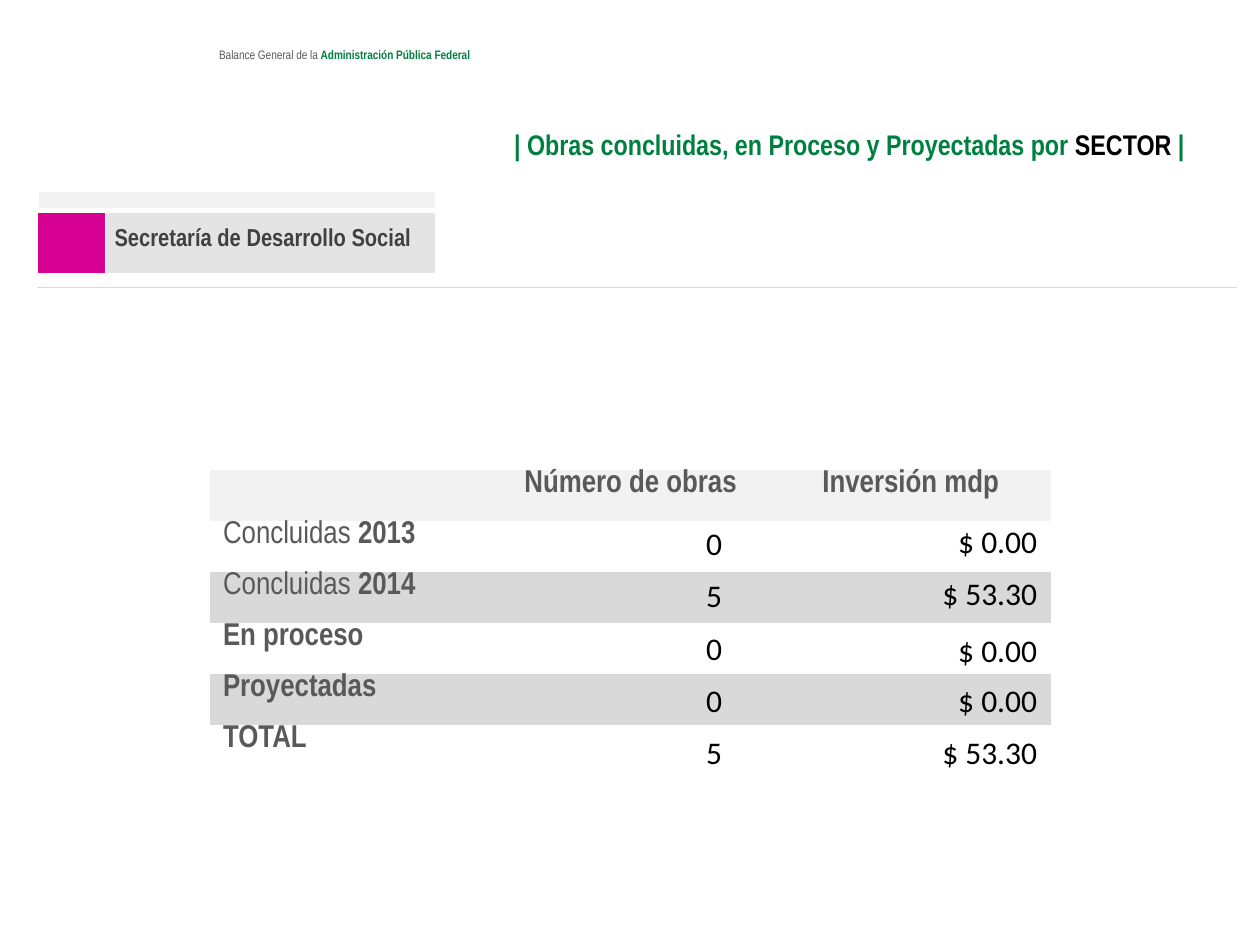
from typing import NamedTuple

from lxml import etree
from pptx import Presentation
from pptx.dml.color import RGBColor
from pptx.enum.text import MSO_ANCHOR, MSO_AUTO_SIZE, PP_ALIGN
from pptx.oxml.ns import qn
from pptx.util import Inches, Pt

LEFT, MID, RIGHT = PP_ALIGN.LEFT, PP_ALIGN.CENTER, PP_ALIGN.RIGHT
TOP, CENTER = MSO_ANCHOR.TOP, MSO_ANCHOR.MIDDLE
NONE, GROW = MSO_AUTO_SIZE.NONE, MSO_AUTO_SIZE.SHAPE_TO_FIT_TEXT
NARROW, ROUND = "Arial Narrow", "Calibri"
GREEN, GRAY, DARK, BLACK = "008040", "595959", "404040", "000000"
PALE, BAND, WHITE, PINK, SILVER = "F2F2F2", "D9D9D9", "FFFFFF", "D60093", "E4E4E4"


class Run(NamedTuple):
    text: str
    size: float
    color: str
    bold: bool = False
    font: str = NARROW


class Row(NamedTuple):
    label: list[Run]
    count: str
    cost: str
    count_top: float
    cost_top: float


def rgb(code: str) -> RGBColor:
    return RGBColor.from_string(code)


def write(para, runs: list[Run], align=LEFT, space=None) -> None:
    para.alignment = align
    if space:
        para.line_spacing = space
    for item in runs:
        run = para.add_run()
        run.text = item.text
        font = run.font
        font.size, font.bold, font.name = Pt(item.size), item.bold, item.font
        font.color.rgb = rgb(item.color)


def add_text(slide, box: tuple, runs: list[Run], align=LEFT, space=None) -> None:
    frame = slide.shapes.add_textbox(*map(Inches, box)).text_frame
    frame.word_wrap = True
    frame.auto_size = GROW
    write(frame.paragraphs[0], runs, align, space)


def add_grid(slide, left: float, top: float, cols: list, rows: list):
    size = map(Inches, (left, top, sum(cols), sum(rows)))
    table = slide.shapes.add_table(len(rows), len(cols), *size).table
    table.first_row = table.horz_banding = False
    for col, width in zip(table.columns, cols):
        col.width = Inches(width)
    for row, height in zip(table.rows, rows):
        row.height = Inches(height)
    return table


def style(cell, fill: str = "", edges: dict | None = None, side: float = 0.1) -> None:
    """Set margins, borders (side: colour, points) and fill of a cell."""
    cell.margin_left = cell.margin_right = Inches(side)
    cell.margin_top = cell.margin_bottom = 0
    props = cell._tc.get_or_add_tcPr()
    for edge in "LRTB":
        line = etree.SubElement(props, qn("a:ln" + edge))
        if edges and edge in edges:
            color, width = edges[edge]
            line.set("w", str(Pt(width)))
            solid = etree.SubElement(line, qn("a:solidFill"))
            etree.SubElement(solid, qn("a:srgbClr"), val=color)
        else:
            etree.SubElement(line, qn("a:noFill"))
    if fill:
        cell.fill.solid()
        cell.fill.fore_color.rgb = rgb(fill)
    else:
        cell.fill.background()


def shrink(cell) -> None:
    """Keep an empty cell from stretching its row."""
    para = cell.text_frame.paragraphs[0]._p
    etree.SubElement(para, qn("a:endParaRPr"), sz="100")


def add_banner(slide) -> None:
    grid = add_grid(slide, 0.3, 1.52, [0.54, 2.62, 6.35], [0.15, 0.5, 0.11, 5])
    frame = {"L": (WHITE, 1), "T": (WHITE, 1), "R": (WHITE, 1)}
    strip = {**frame, "B": (WHITE, 3)}
    inner = {"L": (WHITE, 0.5), "T": (WHITE, 1), "R": (WHITE, 0.5), "B": (WHITE, 1)}
    rule = {**frame, "B": (BAND, 0.25)}
    foot = {"T": (BAND, 0.25)}
    looks = [
        [(PALE, strip), (PALE, strip), ("", strip)],
        [(PINK, inner), (SILVER, inner), ("", inner)],
        [(WHITE, rule)] * 3,
        [("", foot)] * 3,
    ]
    for r, line in enumerate(looks):
        for c, (fill, edges) in enumerate(line):
            cell = grid.cell(r, c)
            style(cell, fill, edges, 0.07)
            if (r, c) != (1, 1):
                shrink(cell)
    for r, last in ((0, 1), (2, 1), (3, 2)):
        grid.cell(r, 0).merge(grid.cell(r, last))
    name = grid.cell(1, 1)
    name.vertical_anchor = CENTER
    runs = [Run("Secretaría de Desarrollo Social", 14, DARK, True)]
    write(name.text_frame.paragraphs[0], runs, LEFT, Pt(11))


def label(text: str, year: str = "") -> list[Run]:
    if year:
        return [Run(text + " ", 18, GRAY), Run(year, 18, GRAY, True)]
    return [Run(text, 18, GRAY, True)]


WORKS = [
    Row(label("Concluidas", "2013"), "0", "$ 0.00", 4.11, 4.09),
    Row(label("Concluidas", "2014"), "5", "$ 53.30", 4.52, 4.51),
    Row(label("En proceso"), "0", "$ 0.00", 4.94, 4.96),
    Row(label("Proyectadas"), "0", "$ 0.00", 5.36, 5.36),
    Row(label("TOTAL"), "5", "$ 53.30", 5.77, 5.77),
]


def add_works(slide) -> None:
    grid = add_grid(slide, 1.67, 3.73, [6.67 / 3] * 3, [2.43 / 6] * 6)
    heads = [[], label("Número de obras"), label("Inversión mdp")]
    for c, runs in enumerate(heads):
        style(grid.cell(0, c), PALE)
        write(grid.cell(0, c).text_frame.paragraphs[0], runs, MID)
    for r, work in enumerate(WORKS, 1):
        for c in range(3):
            style(grid.cell(r, c), "" if r % 2 else BAND)
        write(grid.cell(r, 0).text_frame.paragraphs[0], work.label)
    # Figures over the grid
    for work in WORKS:
        for text, left, top, width in (
            (work.count, 4.16, work.count_top, 1.67),
            (work.cost, 6.57, work.cost_top, 1.76),
        ):
            run = Run(text, 18, BLACK, font=ROUND)
            add_text(slide, (left, top, width, 0.4), [run], RIGHT)


def add_title(slide) -> None:
    title = slide.shapes.title
    title.left, title.top, title.width, title.height = map(Inches, (0.5, 0.91, 9, 0.43))
    frame = title.text_frame
    frame.auto_size, frame.vertical_anchor = NONE, CENTER
    runs = [
        Run("| Obras concluidas, en Proceso y Proyectadas por ", 16.2, GREEN, True),
        Run("SECTOR ", 16.2, BLACK, True),
        Run("|", 16.2, GREEN, True),
    ]
    write(frame.paragraphs[0], runs, RIGHT, 1.15)


def main() -> None:
    deck = Presentation()
    deck.slide_width, deck.slide_height = Inches(10), Inches(7.5)
    slide = deck.slides.add_slide(deck.slide_layouts[5])

    # Report name
    report = [
        Run("Balance General de la ", 7, GRAY),
        Run("Administración Pública Federal", 7, GREEN, True),
    ]
    add_text(slide, (1.64, 0.35, 4.49, 0.2), report, LEFT, 0.8)

    # Ministry banner, works table and title
    add_banner(slide)
    add_works(slide)
    add_title(slide)
    deck.save("out.pptx")


if __name__ == "__main__":
    main()
